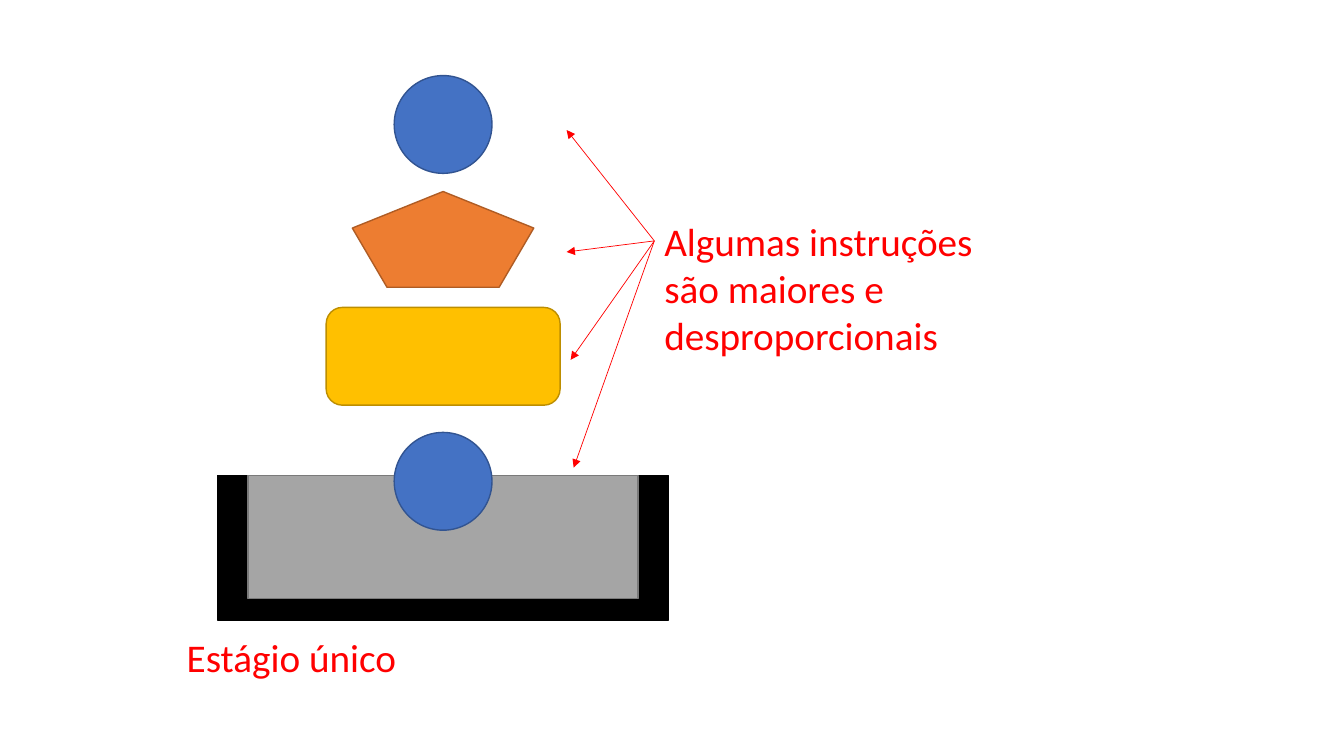
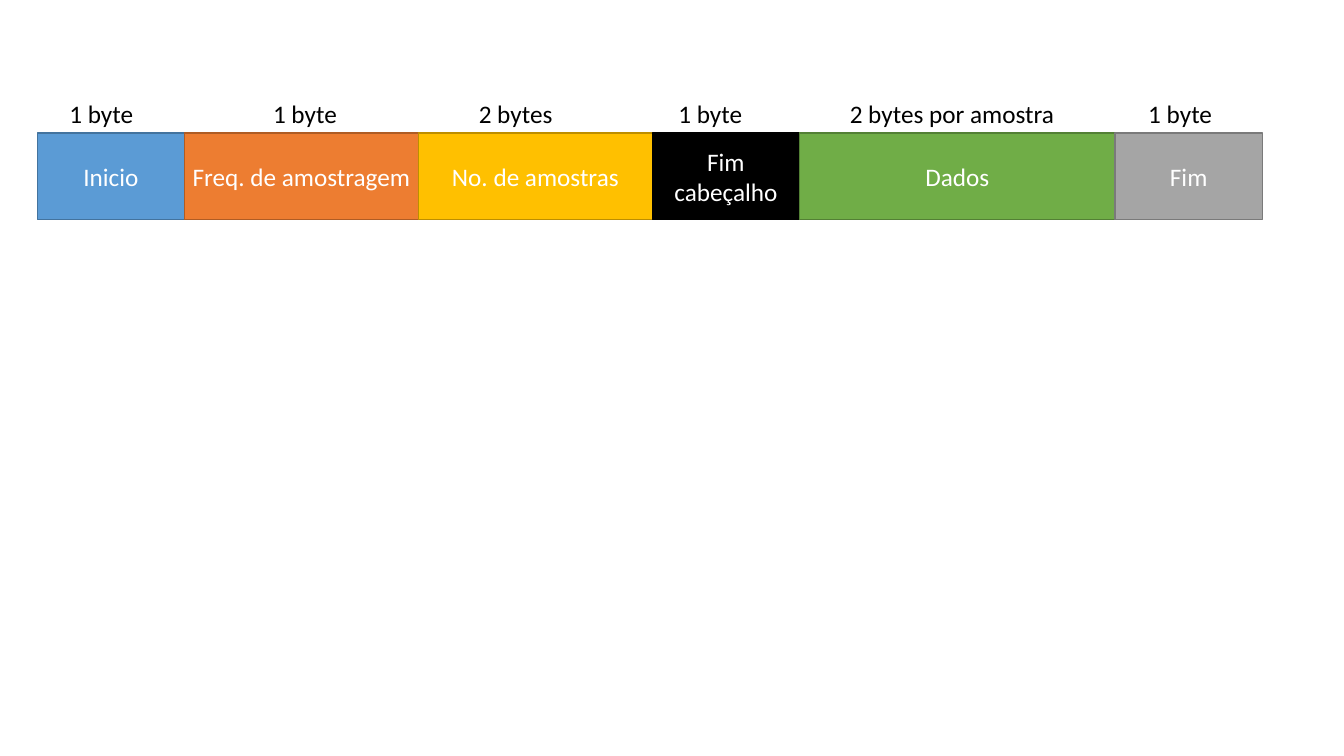
from pptx import Presentation
from pptx.dml.color import RGBColor
from pptx.enum.shapes import MSO_CONNECTOR as Link, MSO_SHAPE as Kind
from pptx.enum.text import MSO_ANCHOR as Anchor, PP_ALIGN as Align
from pptx.oxml.ns import qn
from pptx.util import Inches, Pt
from lxml import etree

FONT = "Calibri"
RED, BLACK, WHITE = "FF0000", "000000", "FFFFFF"
# Each pair is fill and outline
BLUE = ("4472C4", "325491")
SKY = ("5B9BD5", "43739E")
ORANGE = ("ED7D31", "AF5C24")
GOLD = ("FFC000", "BD8E00")
GREEN = ("70AD47", "538035")
GRAY = ("A5A5A5", "7A7A7A")
DARK = (BLACK, BLACK)


def rgb(code):
    return RGBColor.from_string(code)


def write(frame, text, size, color, align=Align.LEFT):
    frame.word_wrap = True
    par = frame.paragraphs[0]
    par.text = text
    par.alignment = align
    par.font.name = FONT
    par.font.size = Pt(size)
    par.font.color.rgb = rgb(color)


def label(slide, text, x, y, w, h, size, color, align=Align.LEFT):
    box = slide.shapes.add_textbox(Inches(x), Inches(y), Inches(w), Inches(h))
    write(box.text_frame, text, size, color, align)


def block(slide, kind, colors, x, y, w, h):
    shape = slide.shapes.add_shape(kind, Inches(x), Inches(y), Inches(w), Inches(h))
    shape.shadow.inherit = False
    fill, edge = colors
    shape.fill.solid()
    shape.fill.fore_color.rgb = rgb(fill)
    shape.line.color.rgb = rgb(edge)
    shape.line.width = Pt(1)
    return shape


def arrow(slide, start, end):
    points = [Inches(v) for v in (*start, *end)]
    line = slide.shapes.add_connector(Link.STRAIGHT, *points)
    line.line.color.rgb = rgb(RED)
    line.line.width = Pt(0.5)
    etree.SubElement(line.line._get_or_add_ln(), qn("a:tailEnd"), type="triangle")
    etree.SubElement(line._element.spPr, qn("a:effectLst"))


def stage(slide, x, y, w, h):
    """Instructions queued above a single-stage tank."""
    # Tank with its inner space
    wall, floor, depth = 0.3, 0.21, 1.43
    rim = y + h - depth
    block(slide, Kind.RECTANGLE, DARK, x, rim, w, depth)
    block(slide, Kind.RECTANGLE, GRAY, x + wall, rim, w - 2 * wall, depth - floor)

    # Instructions share the centre line of the tank
    queue = [
        (Kind.OVAL, BLUE, 0, 0.97, 0.97),
        (Kind.REGULAR_PENTAGON, ORANGE, 1.15, 1.8, 0.95),
        (Kind.ROUNDED_RECTANGLE, GOLD, 2.3, 2.32, 0.97),
        (Kind.OVAL, BLUE, 3.54, 0.97, 0.97),
    ]
    for kind, colors, top, wide, high in queue:
        block(slide, kind, colors, x + (w - wide) / 2, y + top, wide, high)

    label(slide, "Estágio único", x - 2.16, y + h + 0.08, 5.78, 0.57,
          28, RED, Align.CENTER)


def remark(slide, x, y, w, h):
    """Note with arrows fanning out to each instruction."""
    label(slide, "Algumas instruções são maiores e desproporcionais",
          x, y, w, h, 28, RED)
    for dx, dy in [(-0.87, -0.82), (-0.87, 0.39), (-0.83, 1.46), (-0.8, 2.53)]:
        arrow(slide, (x, y + 0.28), (x + dx, y + dy))


def packet(slide, x, y, h):
    """Row of touching fields, each with its size above."""
    fields = [  # name, colours, width, size, indent of size
        ("Inicio", SKY, 1.46, "1 byte", 0.22),
        ("Freq. de amostragem", ORANGE, 2.32, "1 byte", 0.78),
        ("No. de amostras", GOLD, 2.32, "2 bytes", 0.5),
        ("Fim cabeçalho", DARK, 1.46, "1 byte", 0.16),
        ("Dados", GREEN, 3.13, "2 bytes por amostra", 0.4),
        ("Fim", GRAY, 1.46, "1 byte", 0.23),
    ]
    for name, colors, wide, size, indent in fields:
        field = block(slide, Kind.RECTANGLE, colors, x, y, wide, h)
        frame = field.text_frame
        frame.margin_left = frame.margin_right = Inches(0.05)
        frame.vertical_anchor = Anchor.MIDDLE
        write(frame, name, 18, WHITE, Align.CENTER)
        label(slide, size, x + indent, y - 0.39, wide - indent, 0.4, 18, BLACK)
        x += wide


def main():
    deck = Presentation()
    deck.slide_width, deck.slide_height = Inches(13.33), Inches(7.5)
    blank = deck.slide_layouts[6]

    first = deck.slides.add_slide(blank)
    stage(first, 2.16, 0.75, 4.47, 5.4)
    remark(first, 6.49, 2.11, 3.27, 1.51)

    second = deck.slides.add_slide(blank)
    packet(second, 0.37, 1.32, 0.86)

    deck.save("out.pptx")


if __name__ == "__main__":
    main()
